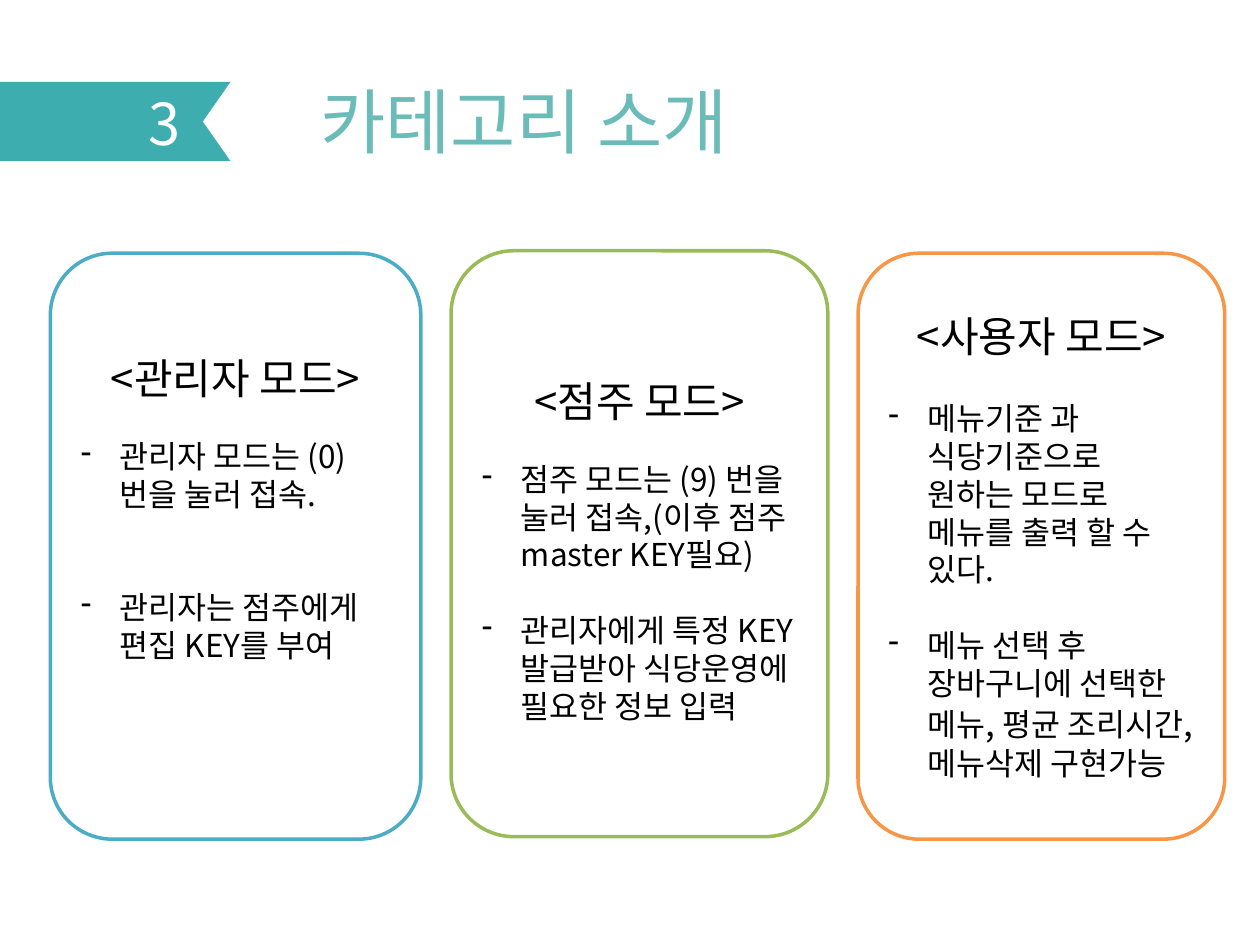
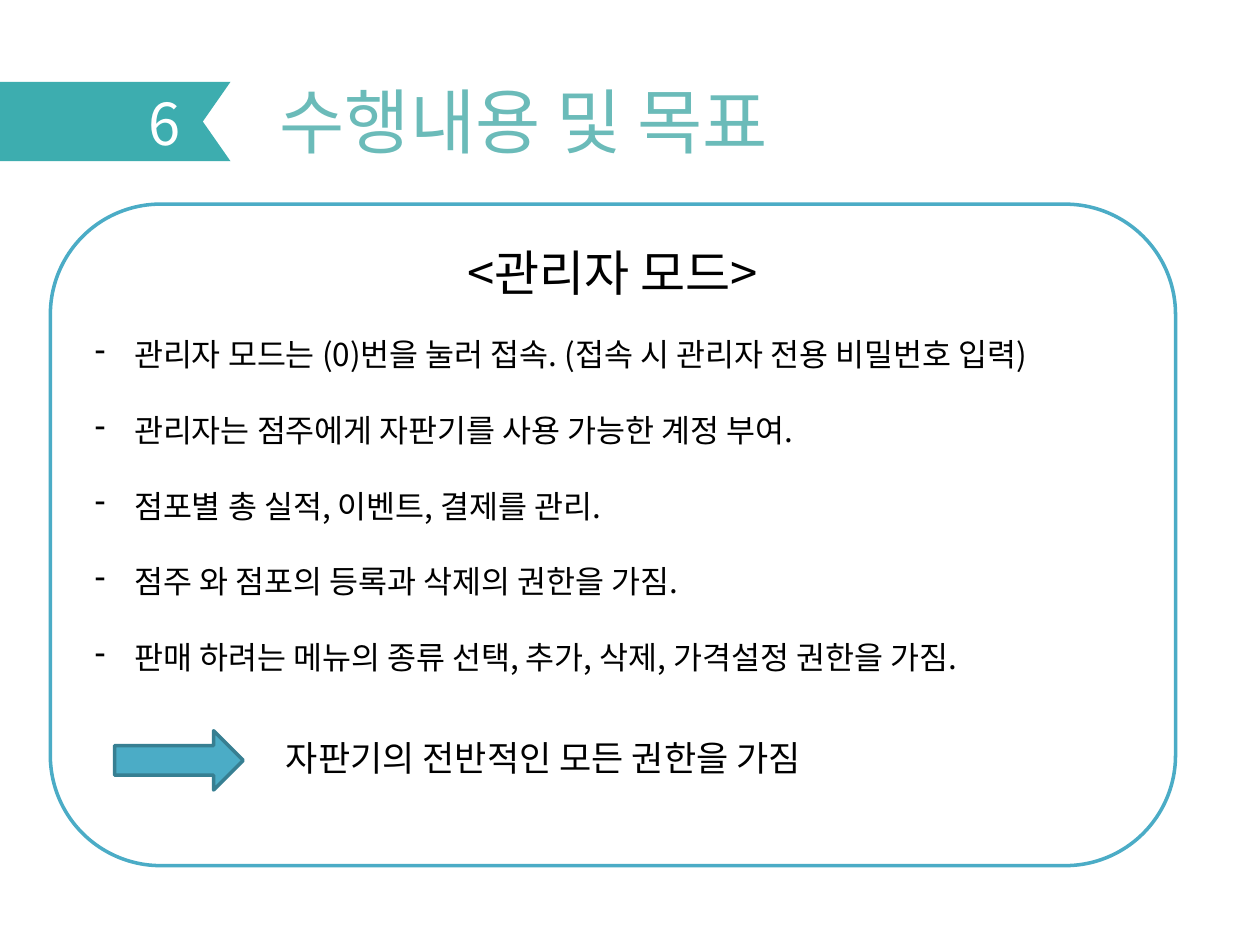
import pptx
import pptx.dml.color
import pptx.enum.shapes
import pptx.enum.text
import pptx.oxml.ns
import pptx.util
import lxml.etree

Inches = pptx.util.Inches
Pt = pptx.util.Pt
MSO = pptx.enum.shapes.MSO_SHAPE
ALIGN = pptx.enum.text.PP_ALIGN
ANCHOR = pptx.enum.text.MSO_ANCHOR

FONT = "Noto Sans CJK KR"
COLORS = {
    "ribbon": "3DADAF",
    "title": "6BBBB9",
    "white": "FFFFFF",
    "black": "000000",
    "blue": "4BACC6",
    "green": "9BBB59",
    "orange": "F79646",
    "arrow_line": "377F92",
}
RIBBON = (0, 0.65, 1.83, 0.63)
TITLE = (1.2, 0.56, 5.92, 0.78)


def rgb(name):
    """Return the named colour."""
    return pptx.dml.color.RGBColor.from_string(COLORS[name])


def box_inches(box):
    """Turn left, top, width, height into lengths."""
    return [Inches(v) for v in box]


def add_run(p, text, size, color="black"):
    """Add one run with the deck font for Latin and Korean text."""
    r = p.add_run()
    r.text = text
    r.font.size = Pt(size)
    r.font.name = FONT
    r.font.color.rgb = rgb(color)
    ea = lxml.etree.SubElement(r.font._element, pptx.oxml.ns.qn("a:ea"))
    ea.set("typeface", FONT)


def add_text(slide, box, text, size, color):
    """Add a single-paragraph text box."""
    tf = slide.shapes.add_textbox(*box_inches(box)).text_frame
    tf.word_wrap = True
    add_run(tf.paragraphs[0], text, size, color)


def set_dash(p):
    """Give a paragraph a hanging dash."""
    pPr = p._p.get_or_add_pPr()
    pPr.set("marL", str(Inches(0.31)))
    pPr.set("indent", str(-Inches(0.31)))
    lxml.etree.SubElement(pPr, pptx.oxml.ns.qn("a:buChar")).set("char", "-")


def style_shape(sp, fill, line=None):
    """Set the fill and outline of a shape and drop its shadow."""
    sp.shadow.inherit = False
    sp.fill.solid()
    sp.fill.fore_color.rgb = rgb(fill)
    if line:
        sp.line.color.rgb = rgb(line)
        sp.line.width = Pt(2)
    else:
        sp.line.fill.background()


def add_ribbon(slide, box, number):
    """Draw the notched ribbon with the section number."""
    x, y, w, h = box
    points = [(x + w, y), (x + w - 0.22, y + h / 2), (x + w, y + h), (x, y + h)]
    fb = slide.shapes.build_freeform(Inches(x), Inches(y), scale=1.0)
    fb.add_line_segments([(Inches(px), Inches(py)) for px, py in points], close=True)
    style_shape(fb.convert_to_shape(), "ribbon")
    add_text(slide, (x + 1.08, y, 0.46, 0.66), number, 33, "white")


def add_title(slide, box, text):
    """Place and format the title placeholder."""
    s = slide.shapes.title
    s.left, s.top, s.width, s.height = box_inches(box)
    tf = s.text_frame
    tf.vertical_anchor = ANCHOR.MIDDLE
    p = tf.paragraphs[0]
    p.alignment = ALIGN.CENTER
    add_run(p, text, 40.5, "title")


def add_card(slide, box, color, heading, items, size=24, head_gap=19.2,
             item_gap=21.6, above=0, below=0):
    """Draw a rounded card with a heading and dashed items made of runs."""
    sp = slide.shapes.add_shape(MSO.ROUNDED_RECTANGLE, *box_inches(box))
    style_shape(sp, "white", color)
    tf = sp.text_frame
    tf.word_wrap = True
    tf.vertical_anchor = ANCHOR.MIDDLE
    tf.margin_top = Inches(0.05 + above)
    tf.margin_bottom = Inches(0.05 + below)
    p = tf.paragraphs[0]
    p.alignment = ALIGN.CENTER
    add_run(p, heading, size)
    for i, runs in enumerate(items):
        p = tf.add_paragraph()
        p.alignment = ALIGN.LEFT
        p.space_before = Pt(item_gap if i else head_gap)
        set_dash(p)
        for text, run_size in runs:
            add_run(p, text, run_size)


def add_conclusion(slide, box, text):
    """Draw the arrow and the closing statement beside it."""
    x, y, w, h = box
    sp = slide.shapes.add_shape(MSO.RIGHT_ARROW, *box_inches((x, y, 1.02, h)))
    style_shape(sp, "blue", "arrow_line")
    add_text(slide, (x + 1.26, y, w - 1.26, 0.44), text, 20, "black")


def new_slide(prs, number, title):
    """Add a slide with the shared ribbon and title."""
    slide = prs.slides.add_slide(prs.slide_layouts[5])
    add_ribbon(slide, RIBBON, number)
    add_title(slide, TITLE, title)
    return slide


def build_categories(prs):
    """Build the slide with one card for each mode."""
    slide = new_slide(prs, "3", "카테고리 소개")
    add_card(slide, (0.4, 2.01, 2.94, 4.65), "blue", "<관리자 모드>", [
        [("관리자 모드는 (0)번을 눌러 접속.", 18)],
        [("관리자는 점주에게 편집 KEY를 부여", 18)],
    ], item_gap=43.2, below=0.6)
    add_card(slide, (3.58, 1.99, 2.99, 4.65), "green", "<점주 모드>", [
        [("점주 모드는 (9) 번을 눌러 접속,(이후 점주 master KEY필요)", 18)],
        [("관리자에게 특정 KEY 발급받아 식당운영에 필요한 정보 입력", 18)],
    ], above=0.4, below=0.3)
    add_card(slide, (6.81, 2.01, 2.91, 4.65), "orange", "<사용자 모드>", [
        [("메뉴기준 과 식당기준으로 원하는 모드로 메뉴를 출력 할 수 있다.", 18)],
        [("메뉴 선택 후 장바구니에 선택한 메뉴", 18), (",", 20),
         (" 평균 조리시간", 18), (",", 20), ("메뉴삭제 구현가능", 18)],
    ], head_gap=21.6)


def build_goals(prs):
    """Build the slide on the administrator mode."""
    slide = new_slide(prs, "6", "수행내용 및 목표")
    lines = [
        "관리자 모드는 (0)번을 눌러 접속. (접속 시 관리자 전용 비밀번호 입력)",
        "관리자는 점주에게 자판기를 사용 가능한 계정 부여.",
        "점포별 총 실적, 이벤트, 결제를 관리.",
        "점주 와 점포의 등록과 삭제의 권한을 가짐.",
        "판매 하려는 메뉴의 종류 선택, 추가, 삭제, 가격설정 권한을 가짐.",
    ]
    add_card(slide, (0.4, 1.62, 8.93, 5.25), "blue", "<관리자 모드>",
             [[(line, 18)] for line in lines], size=28, below=1.2)
    add_conclusion(slide, (0.91, 5.8, 6.04, 0.47), "자판기의 전반적인 모든 권한을 가짐")


prs = pptx.Presentation()
prs.slide_width, prs.slide_height = Inches(10), Inches(7.5)
build_categories(prs)
build_goals(prs)
prs.save("out.pptx")
